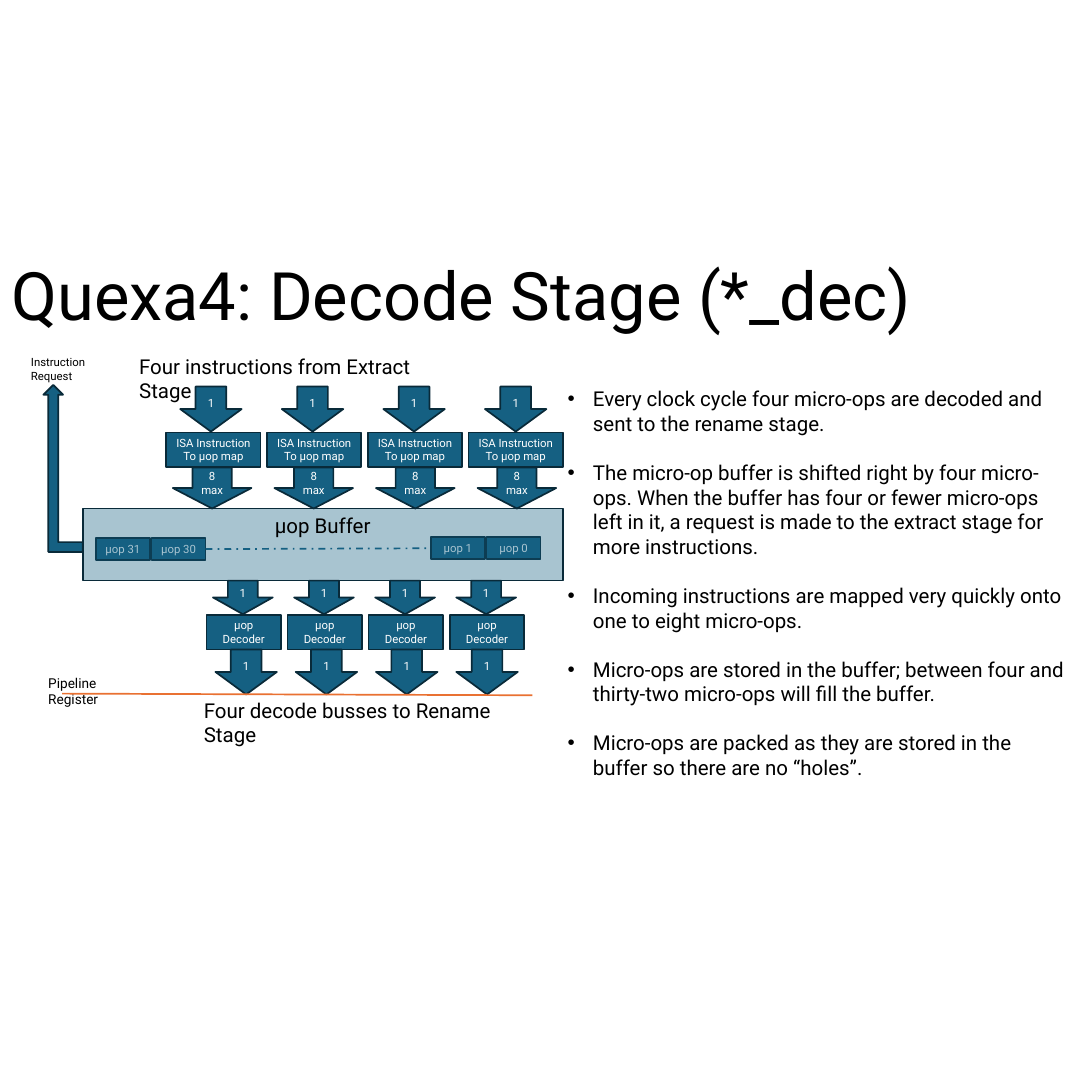
from dataclasses import dataclass

from lxml.etree import SubElement
from pptx import Presentation
from pptx.dml.color import RGBColor
from pptx.enum.dml import MSO_LINE
from pptx.enum.shapes import MSO_CONNECTOR, MSO_SHAPE
from pptx.enum.text import MSO_ANCHOR, PP_ALIGN
from pptx.oxml.ns import qn
from pptx.shapes.autoshape import Shape
from pptx.shapes.connector import Connector
from pptx.util import Inches, Pt

FONT = "Roboto"
TEAL, NAVY, ORANGE = "156082", "092A39", "E97132"
BLACK, WHITE = "000000", "FFFFFF"
LANES = 4


@dataclass
class Box:
    left: float
    top: float
    width: float
    height: float

    def column(self, index: int, pitch: float) -> "Box":
        return Box(self.left + index * pitch, self.top, self.width, self.height)

    def lengths(self) -> list[int]:
        return [Inches(value) for value in (self.left, self.top, self.width, self.height)]


@dataclass
class LaneRow:
    """One row of equal blocks, repeated across the four lanes."""
    kind: MSO_SHAPE
    first: Box
    pitch: float
    text: str


@dataclass
class Label:
    text: str
    box: Box
    size: float


ARROW, BLOCK = MSO_SHAPE.DOWN_ARROW, MSO_SHAPE.RECTANGLE
LANE_ROWS = [
    LaneRow(BLOCK, Box(2.03, 5.28, 1.15, 0.42), 1.23, "ISA Instruction To µop map"),
    LaneRow(ARROW, Box(2.11, 5.71, 0.96, 0.5), 1.24, "8 max"),
    LaneRow(ARROW, Box(2.2, 4.72, 0.75, 0.55), 1.24, "1"),
    LaneRow(BLOCK, Box(2.52, 7.51, 0.91, 0.42), 0.99, "µop Decoder"),
    LaneRow(ARROW, Box(2.6, 7.09, 0.73, 0.41), 0.99, "1"),
    LaneRow(ARROW, Box(2.63, 7.93, 0.75, 0.55), 0.98, "1"),
]
LABELS = [
    Label("Four instructions from Extract Stage", Box(1.6, 4.27, 4.08, 0.4), 18),
    Label("Four decode busses to Rename Stage", Box(2.39, 8.47, 4.3, 0.4), 18),
    Label("Instruction Request", Box(0.28, 4.29, 0.95, 0.44), 10),
    Label("Pipeline Register", Box(0.49, 8.19, 1.42, 0.3), 12),
]
NOTES = [
    "Every clock cycle four micro-ops are decoded and sent to the rename stage.",
    "The micro-op buffer is shifted right by four micro-ops. When the buffer has four or fewer "
    "micro-ops left in it, a request is made to the extract stage for more instructions.",
    "Incoming instructions are mapped very quickly onto one to eight micro-ops.",
    "Micro-ops are stored in the buffer; between four and thirty-two micro-ops will fill the buffer.",
    "Micro-ops are packed as they are stored in the buffer so there are no “holes”.",
]

presentation = Presentation()
presentation.slide_width = Inches(13.33)
presentation.slide_height = Inches(13.31)
slide = presentation.slides.add_slide(presentation.slide_layouts[6])


def color(value: str) -> RGBColor:
    return RGBColor.from_string(value)


def write(shape: Shape, text: str, size: float, font_color: str) -> None:
    frame = shape.text_frame
    frame.text = text
    frame.word_wrap = True
    for paragraph in frame.paragraphs:
        for run in paragraph.runs:
            run.font.name = FONT
            run.font.size = Pt(size)
            run.font.color.rgb = color(font_color)


def add_label(label: Label) -> Shape:
    shape = slide.shapes.add_textbox(*label.box.lengths())
    write(shape, label.text, label.size, BLACK)
    return shape


def add_block(kind: MSO_SHAPE, box: Box, text: str = "",
              size: float = 10, font_color: str = WHITE) -> Shape:
    shape = slide.shapes.add_shape(kind, *box.lengths())
    shape.shadow.inherit = False
    shape.fill.solid()
    shape.fill.fore_color.rgb = color(TEAL)
    shape.line.color.rgb = color(NAVY)
    shape.line.width = Pt(1.5)
    write(shape, text, size, font_color)
    shape.text_frame.vertical_anchor = MSO_ANCHOR.MIDDLE
    shape.text_frame.paragraphs[0].alignment = PP_ALIGN.CENTER
    return shape


def add_line(start: tuple[float, float], end: tuple[float, float], line_color: str) -> Connector:
    points = [Inches(value) for value in start + end]
    line = slide.shapes.add_connector(MSO_CONNECTOR.STRAIGHT, *points)
    line.line.color.rgb = color(line_color)
    line.line.width = Pt(1.5)
    SubElement(line._element.spPr, qn("a:effectLst"))
    return line


# Title
title = add_label(Label("Quexa4: Decode Stage (*_dec)", Box(0.04, 2.92, 11.5, 1.45), 58.7))
title.text_frame.vertical_anchor = MSO_ANCHOR.MIDDLE
title.text_frame.paragraphs[0].line_spacing = 0.9

# Buffer cells, joined by a dash-dot line
cells = {}
for first_cell, names in ((Box(1.17, 6.57, 0.66, 0.27), ("µop 31", "µop 30")),
                          (Box(5.26, 6.56, 0.66, 0.27), ("µop 1", "µop 0"))):
    for index, name in enumerate(names):
        cells[name] = add_block(BLOCK, first_cell.column(index, 0.68), name)
gap_line = add_line((2.51, 6.7), (5.26, 6.7), TEAL)
gap_line.line.dash_style = MSO_LINE.DASH_DOT
gap_line.begin_connect(cells["µop 30"], 3)
gap_line.end_connect(cells["µop 1"], 1)

# Translucent buffer over the cells
buffer = add_block(BLOCK, Box(1.01, 6.21, 5.86, 0.88), "µop Buffer", 18, BLACK)
buffer.text_frame.vertical_anchor = MSO_ANCHOR.TOP
fill_color = buffer._element.spPr.find(qn("a:solidFill"))[0]
SubElement(fill_color, qn("a:alpha"), val="37000")

# Captions, then the four lanes
for label in LABELS:
    add_label(label)
for row in LANE_ROWS:
    for lane in range(LANES):
        add_block(row.kind, row.first.column(lane, row.pitch), row.text)

# Request arrow and pipeline register
request = add_block(MSO_SHAPE.BENT_UP_ARROW, Box(0.53, 4.7, 0.48, 2.04))
request._element.spPr.xfrm.set("flipH", "1")
add_line((0.76, 8.47), (6.5, 8.49), ORANGE)

# Bulleted notes
notes = add_label(Label("\n".join(NOTES), Box(6.83, 4.67, 6.3, 4.95), 18))
for paragraph in notes.text_frame.paragraphs:
    paragraph.space_after = Pt(21.6)
    properties = paragraph._p.get_or_add_pPr()
    properties.set("marL", str(Inches(0.31)))
    properties.set("indent", str(-Inches(0.31)))
    SubElement(properties, qn("a:buFont"), typeface="Arial")
    SubElement(properties, qn("a:buChar"), char="•")

presentation.save("out.pptx")
